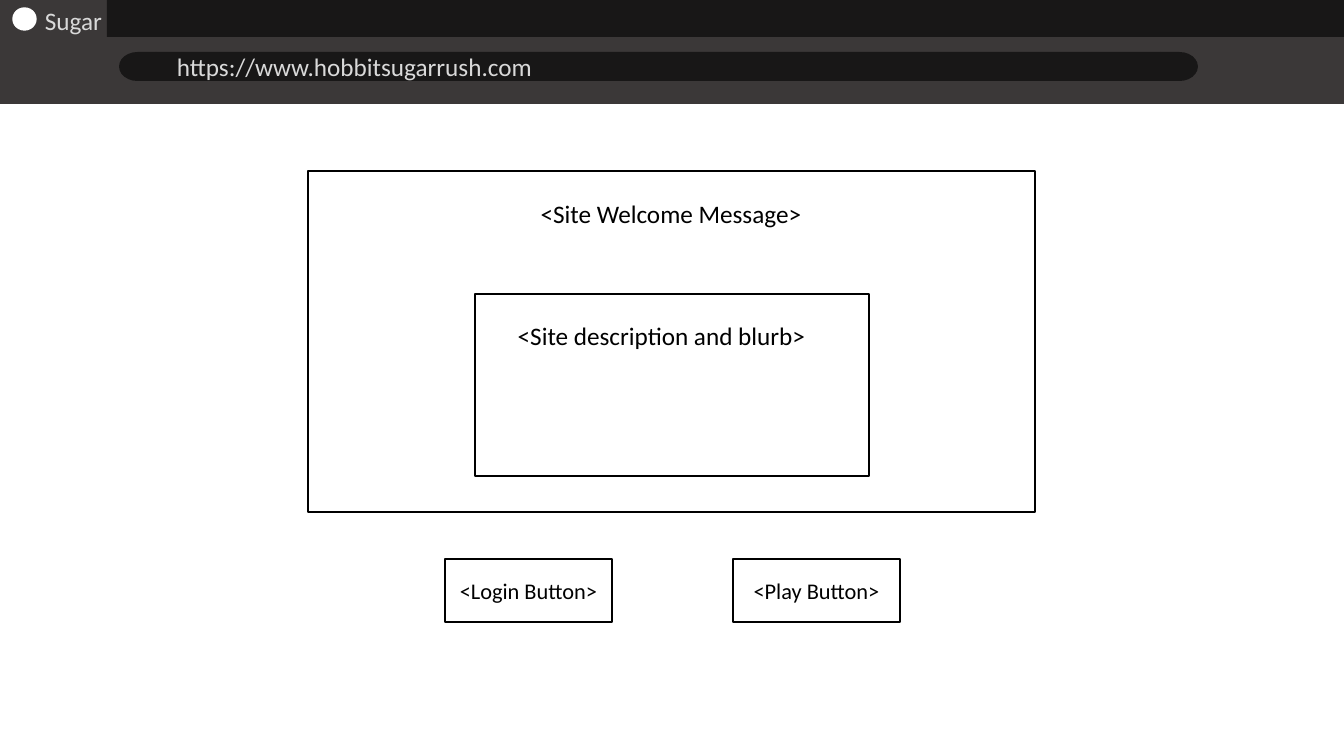
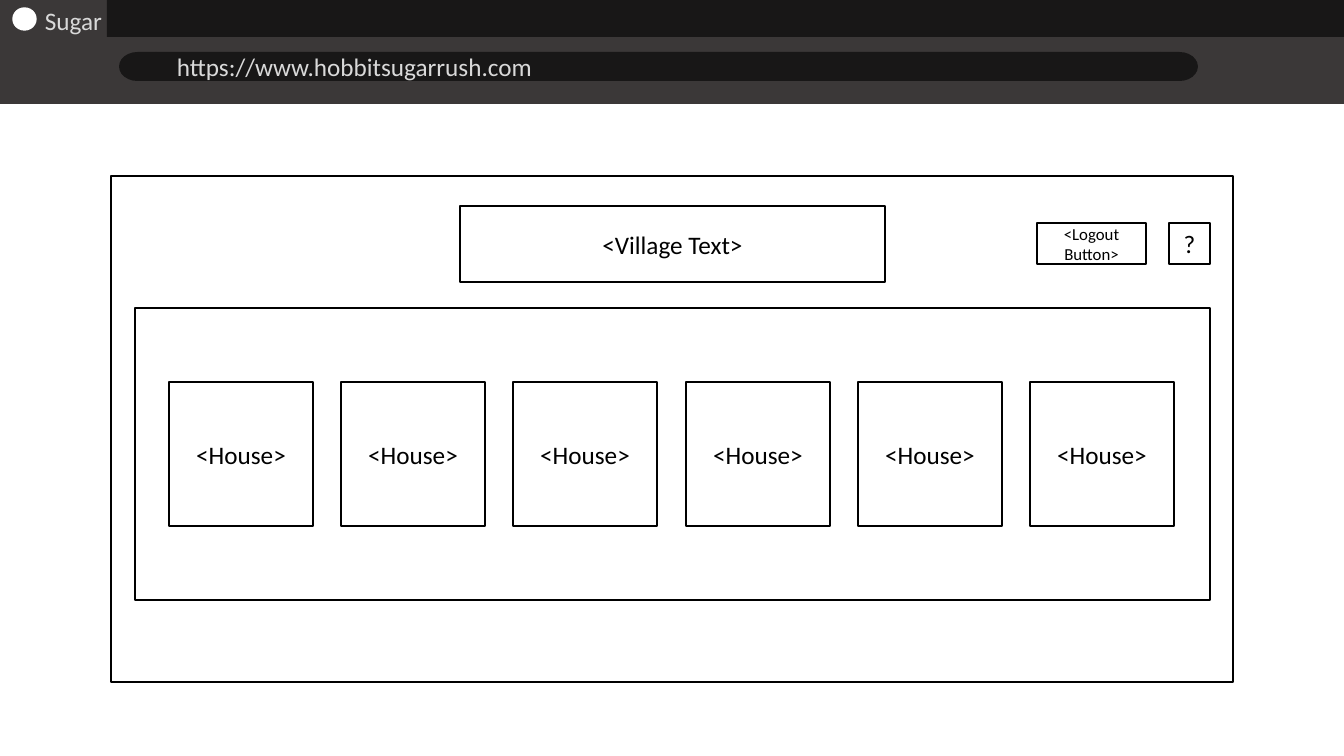
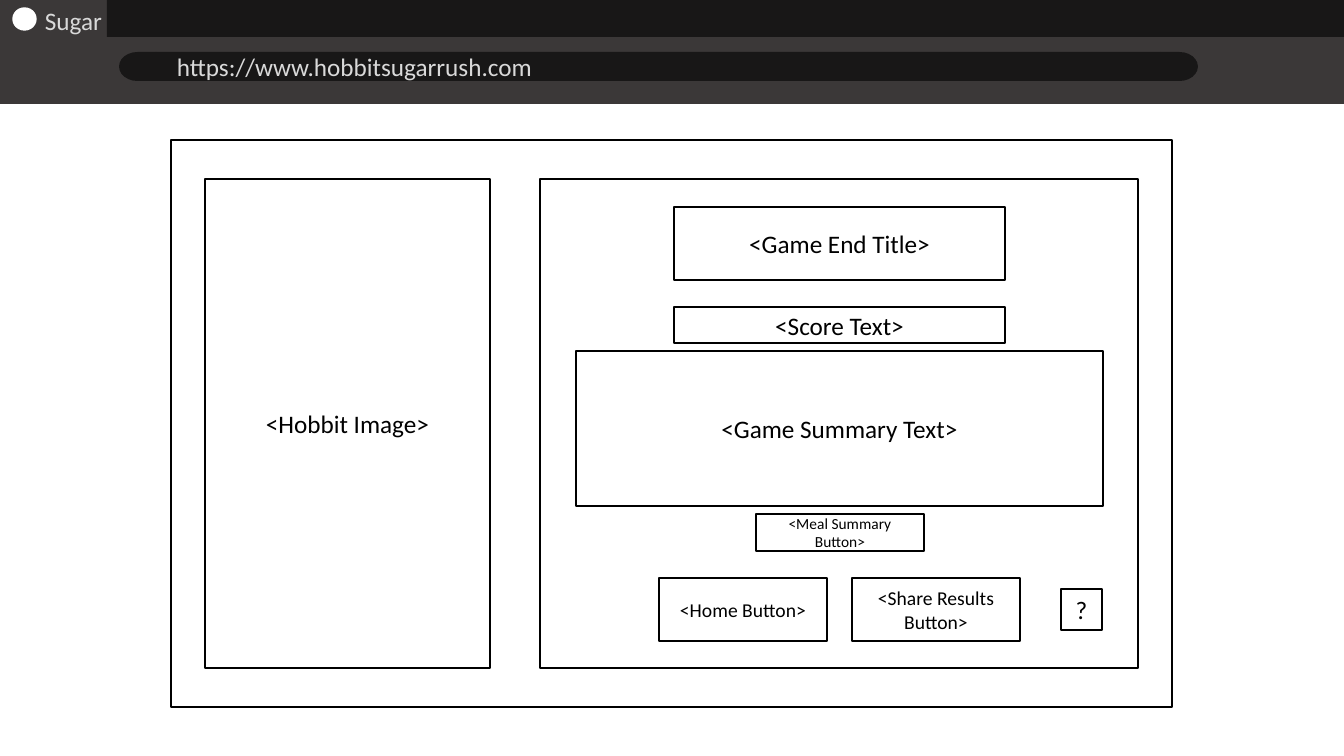
from dataclasses import dataclass

from pptx import Presentation
from pptx import util as u
from pptx.dml.color import RGBColor
from pptx.enum import shapes, text

PIXEL = 914400 / 100.8
FORM = shapes.MSO_SHAPE


@dataclass(frozen=True)
class Theme:
    font: str = "Calibri"
    toolbar: str = "3B3838"
    dark: str = "181717"
    pale: str = "D9D9D9"
    paper: str = "FFFFFF"
    ink: str = "000000"
    body: int = 18
    button: int = 16
    action: int = 14
    small: int = 12
    tiny: int = 11
    outline: int = 1


theme = Theme()


def write(shape, words, size, color, align):
    frame = shape.text_frame
    frame.word_wrap = True
    frame.vertical_anchor = text.MSO_ANCHOR.MIDDLE
    paragraph = frame.paragraphs[0]
    paragraph.text = words
    paragraph.alignment = align
    paragraph.font.name = theme.font
    paragraph.font.size = u.Pt(size)
    paragraph.font.color.rgb = RGBColor.from_string(color)


def box(slide, area, words="", size=theme.body, fill=theme.paper, line=theme.ink, form=FORM.RECTANGLE):
    shape = slide.shapes.add_shape(form, *[round(length * PIXEL) for length in area])
    shape.shadow.inherit = False
    shape.fill.solid()
    shape.fill.fore_color.rgb = RGBColor.from_string(fill)
    if line:
        shape.line.color.rgb = RGBColor.from_string(line)
        shape.line.width = u.Pt(theme.outline)
    else:
        shape.line.fill.background()
    if words:
        write(shape, words, size, theme.ink, text.PP_ALIGN.CENTER)
    return shape


presentation = Presentation()
presentation.slide_width = round(1344 * PIXEL)
presentation.slide_height = round(756 * PIXEL)

browser_labels = [
    ((167, 46, 914, 40), "https://www.hobbitsugarrush.com"),
    ((35, 0, 275, 40), "Sugar"),
]
for page in range(3):
    slide = presentation.slides.add_slide(presentation.slide_layouts[6])
    box(slide, (0, 0, 1344, 103), fill=theme.toolbar, line=theme.toolbar)
    box(slide, (107, 0, 1237, 37), fill=theme.dark, line=None)
    box(slide, (156, 52, 1005, 29), fill=theme.dark, line=None)
    for left, rotation in [(1161, 0), (119, 180)]:
        cap = box(slide, (left, 52, 37, 29), fill=theme.dark, line=None, form=FORM.FLOWCHART_DELAY)
        cap.rotation = rotation
    box(slide, (13, 8, 23, 22), line=theme.paper, form=FORM.FLOWCHART_CONNECTOR)
    for area, words in browser_labels:
        label = slide.shapes.add_textbox(*[round(length * PIXEL) for length in area])
        write(label, words, theme.body, theme.pale, text.PP_ALIGN.LEFT)

welcome, village, game_end = presentation.slides

for left, words in [(733, "<Play Button>"), (445, "<Login Button>")]:
    box(welcome, (left, 559, 167, 63), words, theme.button)
box(welcome, (308, 171, 727, 341))
box(welcome, (524, 193, 294, 40), "<Site Welcome Message>", line=None)
box(welcome, (475, 294, 394, 182))
box(welcome, (495, 315, 333, 40), "<Site description and blurb>", line=None)

box(village, (111, 176, 1122, 506))
box(village, (460, 206, 425, 76), "<Village Text>")
box(village, (135, 308, 1075, 292))
first_house, last_house, house_count = 169, 1030, 6
for index in range(house_count):
    left = round(first_house + (last_house - first_house) * index / (house_count - 1))
    box(village, (left, 382, 144, 144), "<House>")
box(village, (1169, 223, 41, 41), "?")
box(village, (1037, 223, 109, 41), "<Logout Button>", theme.small)

box(game_end, (171, 140, 1001, 567))
box(game_end, (540, 179, 598, 489))
box(game_end, (205, 179, 285, 489), "<Hobbit Image>")
box(game_end, (674, 207, 331, 73), "<Game End Title>")
for left, words in [(659, "<Home Button>"), (852, "<Share Results Button>")]:
    box(game_end, (left, 578, 168, 63), words, theme.action)
box(game_end, (674, 307, 331, 36), "<Score Text>")
box(game_end, (756, 514, 168, 37), "<Meal Summary Button>", theme.tiny)
box(game_end, (576, 351, 527, 155), "<Game Summary Text>")
box(game_end, (1061, 589, 41, 41), "?")

presentation.save("out.pptx")
